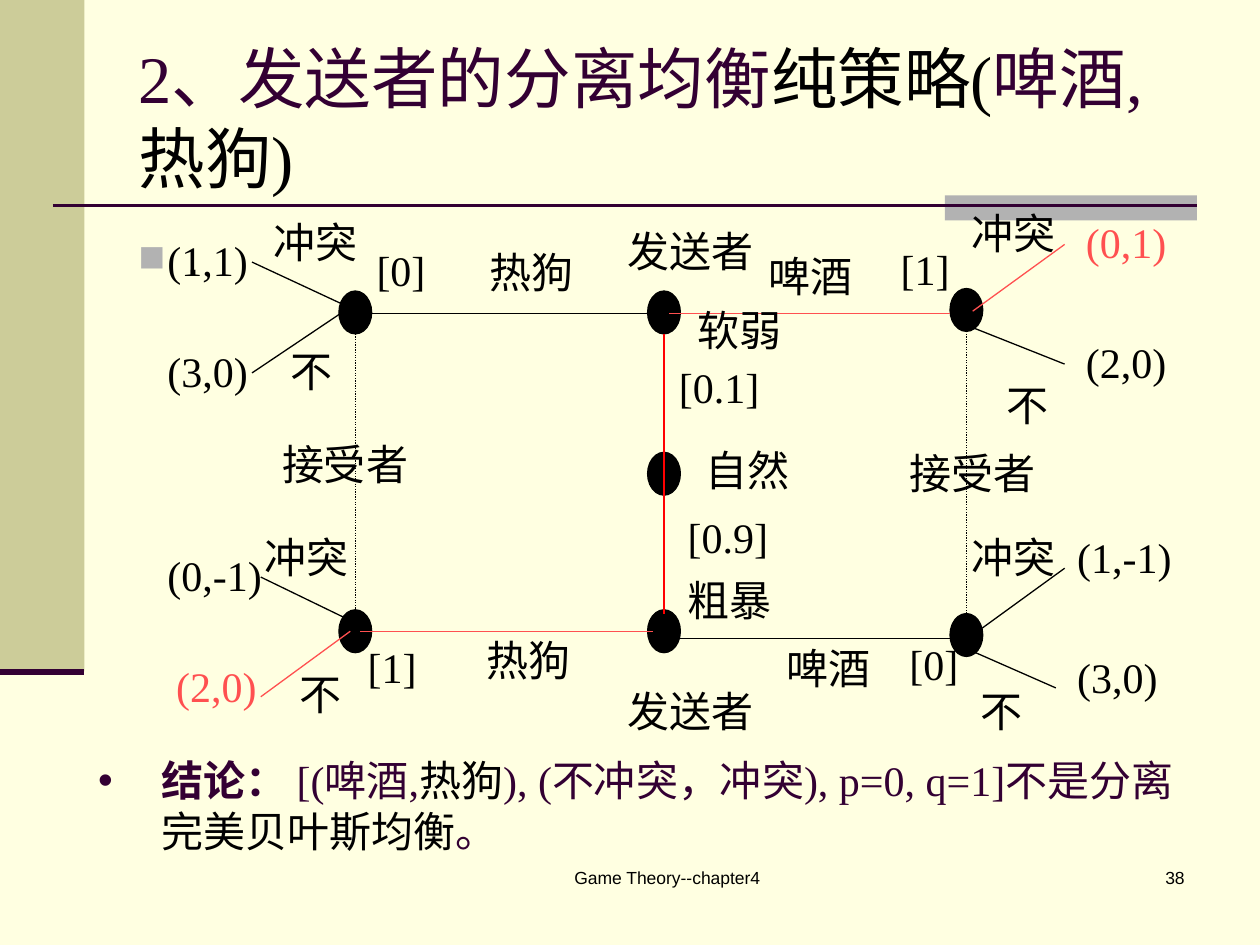
from lxml import etree
from pptx import Presentation
from pptx.dml.color import RGBColor as RGB
from pptx.enum.dml import MSO_LINE
from pptx.enum.shapes import MSO_CONNECTOR, MSO_SHAPE
from pptx.enum.text import MSO_ANCHOR, MSO_AUTO_SIZE, PP_ALIGN
from pptx.oxml.ns import qn
from pptx.util import Inches, Pt

THEME = {
    "paper": "FFFFE1", "khaki": "CCCC99", "grey": "B2B2B2", "plum": "330033",
    "ink": "000000", "path": "FF5050", "trunk": "FF0000",
    "serif": "Times New Roman", "sans": "Arial", "cjk": "Noto Sans CJK SC",
    "title": 38, "body": 28, "label": 24, "footer": 10, "hairline": 0.75,
}

TITLE = [("2、发送者的分离均衡", "plum"), ("纯策略(", "ink"), ("啤酒,", "plum"), ("热狗)", "ink")]
CONCLUSION = [
    ("结论： ", "plum", "serif", True), ("[(啤酒,", "plum"), ("热狗", "ink", "cjk"),
    ("), (不冲突，冲突), p=0, q=1]不是分离", "plum"), ("完美贝叶斯均衡", "ink"), ("。", "plum"),
]
FOOTERS = [
    ("Game Theory--chapter4", 3.67, 3.25, PP_ALIGN.CENTER),
    ("38", 7.42, 2.08, PP_ALIGN.RIGHT),
]
BANDS = [("khaki", 0, 0, 0.67, 5.33), ("grey", 7.5, 1.55, 2, 0.2)]
RULES = [(0.42, 1.63, 9.5, 1.63, 1.5), (0, 5.33, 0.67, 5.33, 3.5)]

NODE_SIZE = (0.26, 0.34)
NODES = [(2.82, 2.48), (5.27, 2.48), (7.67, 2.46), (5.27, 3.76),
         (2.82, 5.01), (5.27, 5.01), (7.67, 5.04)]
BRANCHES = {
    "ink": [
        (5.14, 2.49, 2.82, 2.49), (2, 2.08, 2.73, 2.42), (2.73, 2.47, 2, 2.96),
        (2.07, 4.58, 2.73, 4.9), (8.45, 2.89, 7.72, 2.6), (8.38, 5.46, 7.72, 5.17),
        (7.72, 5.04, 8.45, 4.51), (5.31, 5.07, 7.72, 5.07),
    ],
    "trunk": [(5.27, 2.65, 5.27, 4.87)],
    "path": [
        (5.18, 5.01, 2.86, 5.01), (2.78, 5.01, 2.07, 5.53),
        (5.31, 2.49, 7.54, 2.49), (7.72, 2.47, 8.45, 1.94),
    ],
}
INFORMATION_SETS = [(2.82, 2.65, 2.82, 4.95), (7.67, 4.87, 7.67, 2.56)]
LABELS = {
    "发送者": [(4.88, 1.74), (4.88, 5.39)],
    "接受者": [(2.14, 3.43), (7.12, 3.5)],
    "自然": [(5.5, 3.48)],
    "软弱": [(5.44, 2.37)],
    "粗暴": [(5.36, 4.51)],
    "热狗": [(3.79, 1.91), (3.76, 4.99)],
    "啤酒": [(6, 1.94), (6.14, 5.05)],
    "冲突": [(2.07, 1.67), (2, 4.17), (7.61, 1.6), (7.61, 4.17)],
    "不": [(2.21, 2.69), (2.28, 5.26), (7.89, 2.96), (7.68, 5.39)],
    "[0.1]": [(5.29, 2.82)],
    "[0.9]": [(5.36, 4.01)],
    "[0]": [(2.89, 1.89), (7.12, 5.02)],
    "[1]": [(2.82, 5.04), (7.05, 1.88)],
    "(1,1)": [(1.23, 1.81)],
    "(0,-1)": [(1.23, 4.31)],
    "(1,-1)": [(8.45, 4.17)],
    "(2,0)": [(8.52, 2.62)],
    "(3,0)": [(1.23, 2.69), (8.45, 5.12)],
}
CHOSEN_PAYOFFS = {"(2,0)": [(1.3, 5.19)], "(0,1)": [(8.52, 1.67)]}
GLYPH_EMS = {**dict.fromkeys("0123456789", 0.5), **dict.fromkeys("()[]-", 0.33),
             **dict.fromkeys(",.", 0.25)}


def color(name):
    return RGB.from_string(THEME[name])


def place(shape, left, top, width, height):
    shape.left, shape.top = Inches(left), Inches(top)
    shape.width, shape.height = Inches(width), Inches(height)


def add_run(paragraph, wording, size, ink="ink", face="serif", bold=False):
    run = paragraph.add_run()
    run.text = wording
    run.font.size = Pt(THEME[size])
    run.font.name = THEME[face]
    run.font.bold = bold
    run.font.color.rgb = color(ink)
    east_asian = etree.Element(qn("a:ea"), typeface=THEME["cjk"])
    run.font._element.find(qn("a:latin")).addnext(east_asian)


def add_bullet(paragraph, mark, indent, ink, percent):
    paragraph.space_before = Pt(0)
    props = paragraph._p.get_or_add_pPr()
    props.set("marL", str(Inches(indent)))
    props.set("indent", str(-Inches(indent)))
    tint = etree.SubElement(props, qn("a:buClr"))
    etree.SubElement(tint, qn("a:srgbClr"), val=THEME[ink])
    etree.SubElement(props, qn("a:buSzPct"), val=str(percent * 1000))
    etree.SubElement(props, qn("a:buFont"), typeface=THEME["sans"])
    etree.SubElement(props, qn("a:buChar"), char=mark)


def add_box(slide, left, top, width, height, wrap=True):
    frame = slide.shapes.add_textbox(*map(Inches, (left, top, width, height))).text_frame
    frame.word_wrap = wrap
    return frame


def add_line(slide, x1, y1, x2, y2, ink, weight, dash=None):
    line = slide.shapes.add_connector(MSO_CONNECTOR.STRAIGHT, *map(Inches, (x1, y1, x2, y2)))
    line.line.color.rgb = color(ink)
    line.line.width = Pt(weight)
    if dash:
        line.line.dash_style = dash
    etree.SubElement(line._element.spPr, qn("a:effectLst"))


def add_solid(slide, preset, ink, left, top, width, height):
    solid = slide.shapes.add_shape(preset, *map(Inches, (left, top, width, height)))
    solid.shadow.inherit = False
    solid.fill.solid()
    solid.fill.fore_color.rgb = color(ink)
    solid.line.fill.background()
    return solid


def add_labels(slide, labels, ink):
    for wording, spots in labels.items():
        ems = sum(GLYPH_EMS.get(glyph, 1) for glyph in wording)
        width = 0.2 + ems * THEME["label"] / 72
        for left, top in spots:
            frame = add_box(slide, left, top, width, 0.5, wrap=False)
            add_run(frame.paragraphs[0], wording, "label", ink)


def add_frame(slide):
    slide.background.fill.solid()
    slide.background.fill.fore_color.rgb = color("paper")
    for ink, *area in BANDS:
        add_solid(slide, MSO_SHAPE.RECTANGLE, ink, *area)
    for *ends, weight in RULES:
        add_line(slide, *ends, "plum", weight)
    for wording, left, width, align in FOOTERS:
        paragraph = add_box(slide, left, 6.83, width, 0.5).paragraphs[0]
        paragraph.alignment = align
        add_run(paragraph, wording, "footer", face="sans")


def add_headings(slide):
    title, body = slide.shapes.title, slide.placeholders[1]
    place(title, 1, 0.3, 8.5, 1.25)
    place(body, 1, 1.75, 8.5, 4.95)
    for holder, anchor in ((title, MSO_ANCHOR.MIDDLE), (body, MSO_ANCHOR.TOP)):
        holder.text_frame.auto_size = MSO_AUTO_SIZE.NONE
        holder.text_frame.vertical_anchor = anchor
        holder.text_frame.paragraphs[0].alignment = PP_ALIGN.LEFT
    for wording, ink in TITLE:
        add_run(title.text_frame.paragraphs[0], wording, "title", ink)
    lead = body.text_frame.paragraphs[0]
    add_bullet(lead, "■", 0.38, "grey", 90)
    add_run(lead, ".", "body", face="sans")


def add_game_tree(slide):
    width, height = NODE_SIZE
    for x, y in NODES:
        node = add_solid(slide, MSO_SHAPE.OVAL, "ink", x - width / 2, y - height / 2, width, height)
        node.line.color.rgb = color("ink")
        node.line.width = Pt(THEME["hairline"])
    for ink, branches in BRANCHES.items():
        for ends in branches:
            add_line(slide, *ends, ink, THEME["hairline"])
    for ends in INFORMATION_SETS:
        add_line(slide, *ends, "ink", THEME["hairline"], MSO_LINE.ROUND_DOT)
    add_labels(slide, LABELS, "ink")
    add_labels(slide, CHOSEN_PAYOFFS, "path")


def add_conclusion(slide):
    frame = add_box(slide, 0.68, 5.85, 8.82, 1.08)
    frame.vertical_anchor = MSO_ANCHOR.MIDDLE
    add_bullet(frame.paragraphs[0], "•", 0.5, "plum", 100)
    for wording, *style in CONCLUSION:
        add_run(frame.paragraphs[0], wording, "label", *style)


def main():
    deck = Presentation()
    deck.slide_width, deck.slide_height = Inches(10), Inches(7.5)
    slide = deck.slides.add_slide(deck.slide_layouts[1])
    add_frame(slide)
    add_headings(slide)
    add_game_tree(slide)
    add_conclusion(slide)
    deck.save("out.pptx")


if __name__ == "__main__":
    main()
